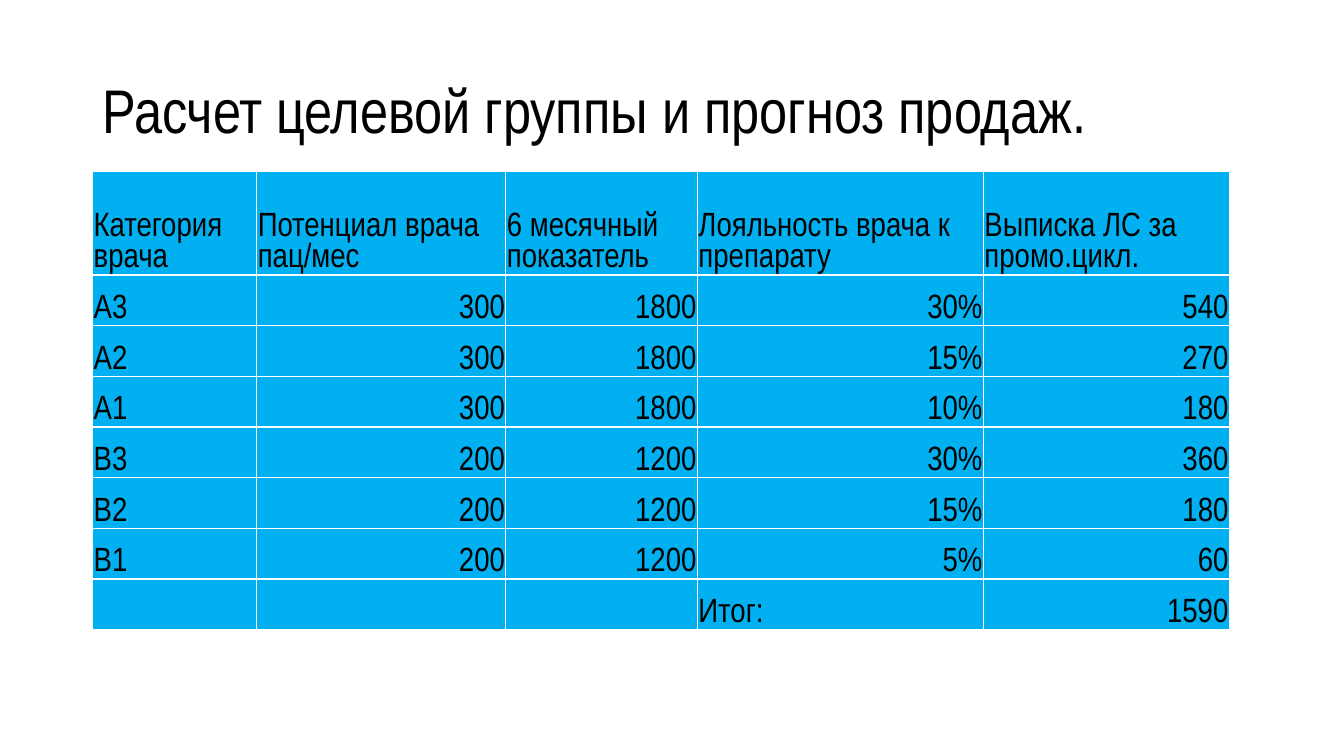
import pptx
import pptx.util
import pptx.dml.color
import pptx.enum.text
import pptx.oxml
import pptx.oxml.ns

Pt = pptx.util.Pt
ALIGN = pptx.enum.text.PP_ALIGN
ANCHOR = pptx.enum.text.MSO_ANCHOR


def color(hex_value):
    return pptx.dml.color.RGBColor.from_string(hex_value)


class SlideBuilder:
    font_name = "Arial Narrow"
    text_color = "000000"
    cell_color = "00B0F0"
    border_color = "FFFFFF"

    def __init__(self, slide):
        self.slide = slide

    def style(self, paragraph, size, align):
        paragraph.alignment = align
        paragraph.font.name = self.font_name
        paragraph.font.size = Pt(size)
        paragraph.font.color.rgb = color(self.text_color)

    def title(self, text, left, top, width, height, size):
        shape = self.slide.shapes.title
        shape.left, shape.top = Pt(left), Pt(top)
        shape.width, shape.height = Pt(width), Pt(height)
        frame = shape.text_frame
        frame.text = text
        frame.word_wrap = True
        frame.vertical_anchor = ANCHOR.MIDDLE
        paragraph = frame.paragraphs[0]
        paragraph.line_spacing = 0.9
        self.style(paragraph, size, ALIGN.LEFT)

    def borders(self, cell):
        properties = cell._tc.get_or_add_tcPr()
        for index, side in enumerate(("lnL", "lnR", "lnT", "lnB")):
            line = pptx.oxml.parse_xml(
                f'<a:{side} {pptx.oxml.ns.nsdecls("a")} w="{Pt(1)}"><a:solidFill>'
                f'<a:srgbClr val="{self.border_color}"/></a:solidFill></a:{side}>')
            properties.insert(index, line)

    def cell(self, cell, text, size, align):
        cell.fill.solid()
        cell.fill.fore_color.rgb = color(self.cell_color)
        self.borders(cell)
        cell.vertical_anchor = ANCHOR.BOTTOM
        cell.margin_left = cell.margin_right = cell.margin_top = Pt(0.75)
        cell.margin_bottom = 0
        cell.text = text
        self.style(cell.text_frame.paragraphs[0], size, align)

    def table(self, rows, left, top, widths, heights, size):
        table = self.slide.shapes.add_table(
            len(rows), len(widths), Pt(left), Pt(top),
            Pt(sum(widths)), Pt(sum(heights))).table
        for column, width in zip(table.columns, widths):
            column.width = Pt(width)
        for row, height in zip(table.rows, heights):
            row.height = Pt(height)
        for row_index, values in enumerate(rows):
            for column_index, text in enumerate(values):
                is_number = column_index > 0 and text.rstrip("%").isdigit()
                align = ALIGN.RIGHT if is_number else ALIGN.LEFT
                self.cell(table.cell(row_index, column_index), text, size, align)


# Presentation
presentation = pptx.Presentation()
presentation.slide_width, presentation.slide_height = Pt(960), Pt(540)
builder = SlideBuilder(presentation.slides.add_slide(presentation.slide_layouts[5]))

# Title
builder.title("Расчет целевой группы и прогноз продаж.", 66, 28.75, 828, 104.4, 44)

# Sales forecast by doctor category
forecast = [
    ("Категория врача", "Потенциал врача пац/мес", "6 месячный показатель",
     "Лояльность врача к препарату", "Выписка ЛС за промо.цикл."),
    ("А3", "300", "1800", "30%", "540"),
    ("А2", "300", "1800", "15%", "270"),
    ("А1", "300", "1800", "10%", "180"),
    ("В3", "200", "1200", "30%", "360"),
    ("В2", "200", "1200", "15%", "180"),
    ("В1", "200", "1200", "5%", "60"),
    ("", "", "", "Итог:", "1590"),
]
column_widths = [117.2, 178, 136.8, 204.3, 175.7]
row_heights = [73.8] + [36.2] * (len(forecast) - 1)
builder.table(forecast, 66.2, 122.6, column_widths, row_heights, 24)

presentation.save("out.pptx")
